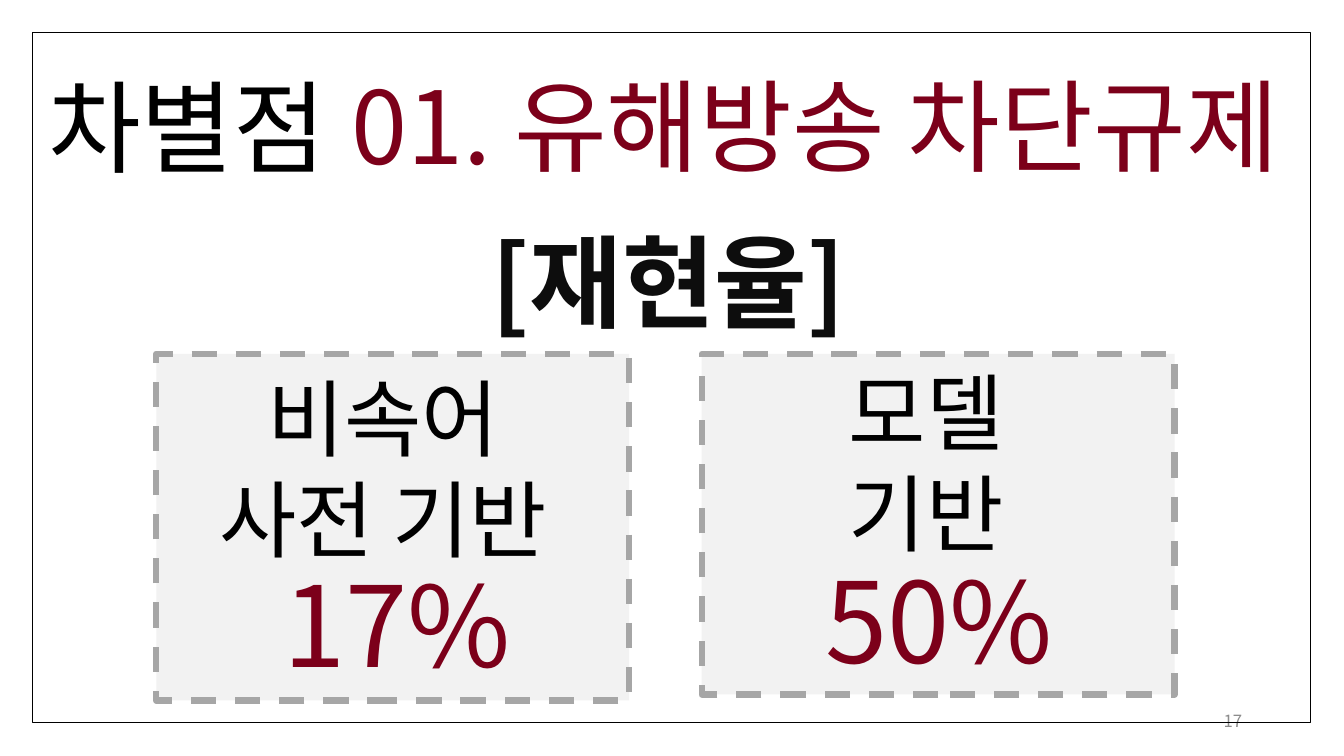
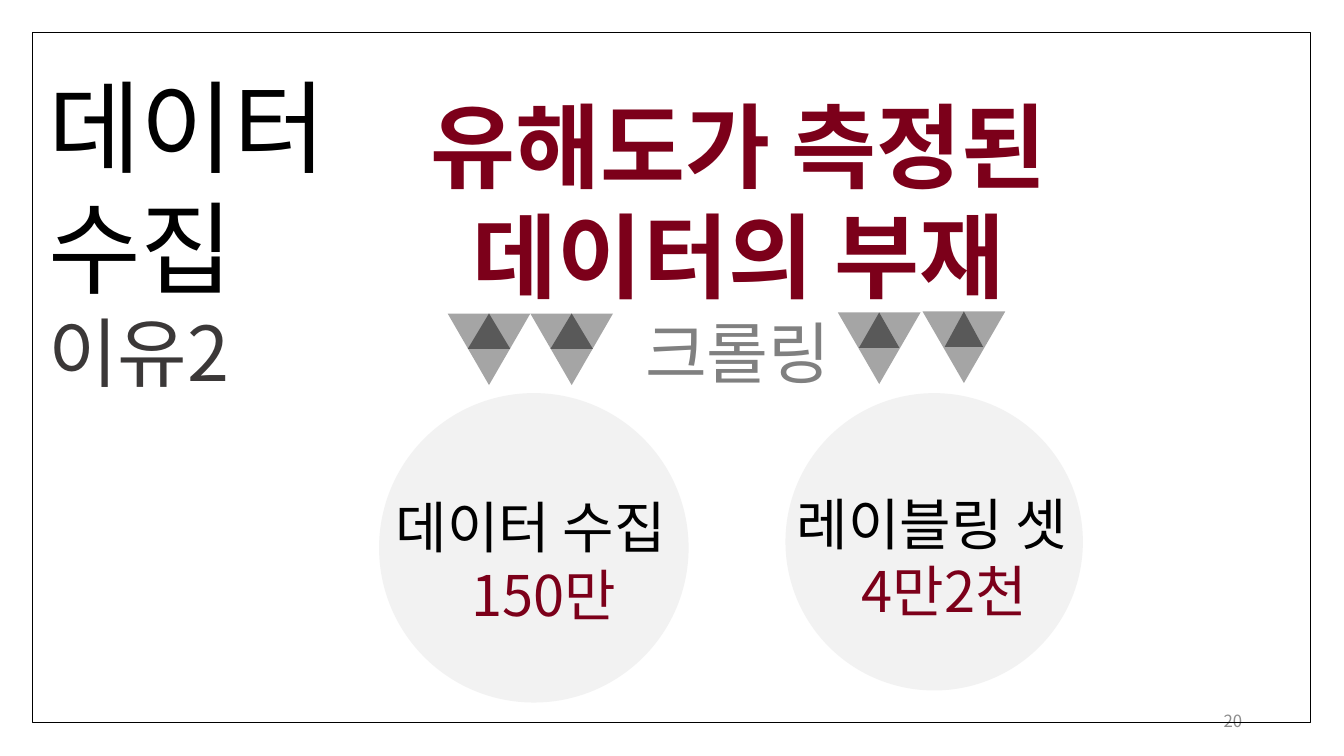
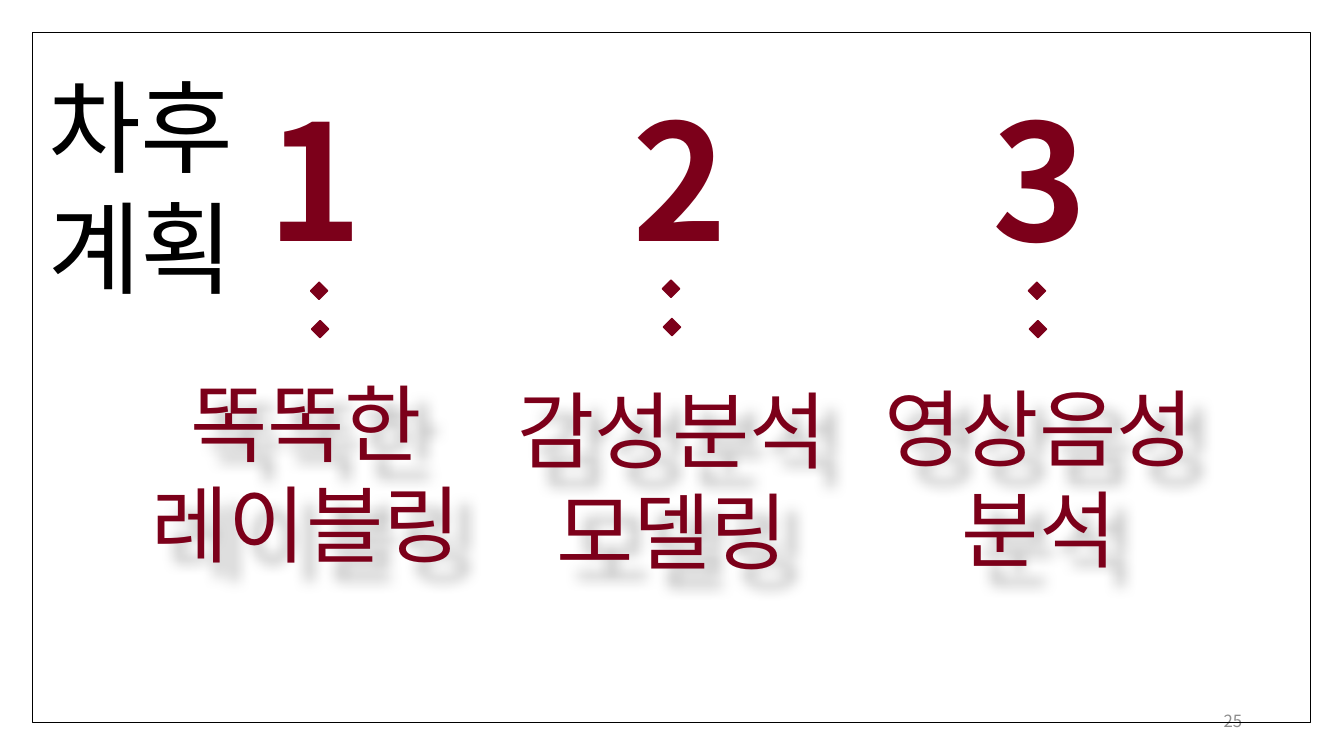
from lxml.etree import SubElement
from pptx import Presentation
from pptx.dml.color import RGBColor
from pptx.enum.dml import MSO_LINE_DASH_STYLE as Dash
from pptx.enum.shapes import MSO_AUTO_SHAPE_TYPE as Shape
from pptx.enum.text import MSO_VERTICAL_ANCHOR as Anchor, PP_PARAGRAPH_ALIGNMENT as Align
from pptx.oxml.ns import qn
from pptx.util import Emu, Pt

PX = 9144
FONT = "Noto Sans CJK KR"
COLORS = {
    "black": "000000",
    "ink": "0D0D0D",
    "wine": "7C001A",
    "panel": "F2F2F2",
    "dash": "A6A6A6",
    "outer": "A5A5A5",
    "inner": "595959",
    "caption": "808080",
    "reason": "3B3838",
    "number": "8C8C8C",
}


def px(*lengths):
    return [Emu(length * PX) for length in lengths]


def color(name):
    return RGBColor.from_string(COLORS[name])


class Deck:
    """Holds the shared style and the current slide."""

    def __init__(self):
        self.presentation = Presentation()
        self.presentation.slide_width, self.presentation.slide_height = px(1333, 750)
        self.slide = None

    def new_slide(self, number):
        self.slide = self.presentation.slides.add_slide(self.presentation.slide_layouts[6])
        self.text((942, 695, 300, 40), [(number, 12, "number")], Align.RIGHT, anchor=Anchor.MIDDLE)
        self.shape(Shape.RECTANGLE, (32, 32, 1268, 685), line="black")

    def shape(self, kind, box, fill=None, line=None, weight=1, dash=None, rotation=0):
        shape = self.slide.shapes.add_shape(kind, *px(*box))
        shape.shadow.inherit = False
        shape.rotation = rotation
        if fill:
            shape.fill.solid()
            shape.fill.fore_color.rgb = color(fill)
        else:
            shape.fill.background()
        if line:
            shape.line.color.rgb = color(line)
            shape.line.width = Pt(weight)
            shape.line.dash_style = dash
        else:
            shape.line.fill.background()

    def text(self, box, lines, align=Align.CENTER, bold=False, anchor=Anchor.TOP):
        """Each line is (text, size, color) with optional left and right margins."""
        text_box = self.slide.shapes.add_textbox(*px(*box))
        frame = text_box.text_frame
        frame.word_wrap = True
        frame.vertical_anchor = anchor
        frame.text = "\n".join(line[0] for line in lines)
        for paragraph, (_, size, name, *margins) in zip(frame.paragraphs, lines):
            paragraph.alignment = align
            paragraph.line_spacing = Pt(size * 1.2)
            for side, margin in zip(("marL", "marR"), margins):
                paragraph._p.get_or_add_pPr().set(side, str(margin * PX))
            for run in paragraph.runs:
                run.font.size = Pt(size)
                run.font.bold = bold
                run.font.color.rgb = color(name)
                run.font.name = FONT
                SubElement(run._r.get_or_add_rPr(), qn("a:ea"), typeface=FONT)
        return text_box

    def title(self, lines, width):
        self.text((38, 59, width, 131), lines, Align.LEFT)

    def shadowed_text(self, box, lines):
        text_box = self.text(box, lines, anchor=Anchor.MIDDLE)
        effects = SubElement(text_box._element.spPr, qn("a:effectLst"))
        shadow = SubElement(effects, qn("a:outerShdw"), blurRad="127000", dist="228600",
                            dir="2700000", algn="tl", rotWithShape="0")
        tint = SubElement(shadow, qn("a:srgbClr"), val=COLORS["black"])
        SubElement(tint, qn("a:alpha"), val="30000")

    def panel(self, left, height, label_box, lines, rate_box, rate):
        self.shape(Shape.RECTANGLE, (left, 351, 469, height), "panel", "dash", 4.5, Dash.DASH)
        self.text(label_box, lines)
        self.text(rate_box, [(rate, 80, "wine")], Align.LEFT)

    def circle(self, left, size, label_box, label, amount):
        self.shape(Shape.FLOWCHART_CONNECTOR, (left, 390, size, size), "panel")
        self.text(label_box, [(label, 40, "black", 12), (amount, 40, "wine", 37)])

    def arrow(self, left, top, inset):
        self.shape(Shape.ISOSCELES_TRIANGLE, (left, top, 82, 71), "outer", rotation=180)
        self.shape(Shape.ISOSCELES_TRIANGLE, (left + inset, top, 82 - 2 * inset, 35), "inner")

    def plan(self, number, number_left, dot_left, dot_top, label_left, label_top, words):
        self.text((number_left, 75, 114, 204), [(number, 115, "wine")], bold=True)
        for step in range(2):
            box = (dot_left + step, dot_top + 38 * step, 17, 17)
            self.shape(Shape.DIAMOND, box, "wine", "wine")
        self.shadowed_text((label_left, label_top, 353, 145), [(word, 60, "wine") for word in words])


def recall_slide(deck):
    deck.new_slide("17")
    deck.title([("차별점", 72, "black")], 353)
    deck.text((339, 58, 994, 131), [("01. 유해방송 차단규제", 72, "wine")], Align.LEFT)
    deck.text((66, 213, 1194, 131), [("[재현율]", 72, "ink")], bold=True)
    deck.panel(155, 344, (32, 359, 715, 212),
               [("비속어", 60, "black", 0, 19), ("사전 기반", 60, "black")],
               (271, 546, 259, 145), "17%")
    deck.panel(696, 338, (561, 353, 715, 212),
               [("모델", 60, "black"), ("기반", 60, "black")],
               (809, 542, 259, 145), "50%")


def collection_slide(deck):
    deck.new_slide("20")
    deck.title([("데이터", 72, "black"), ("수집", 72, "black"), ("이유2", 54, "reason")], 298)
    deck.text((223, 83, 1039, 232),
              [("유해도가 측정된", 66, "wine", 0, 20), ("데이터의 부재", 66, "wine")], bold=True)
    deck.circle(376, 307, (358, 484, 325, 212), "데이터 수집", "150만")
    deck.circle(779, 295, (762, 481, 312, 212), "레이블링 셋", "4만2천")
    deck.text((630, 304, 219, 91), [("크롤링", 48, "caption")], Align.LEFT)
    for left, top, inset in ((444, 311, 20), (526, 311, 20), (831, 310, 21), (915, 309, 22)):
        deck.arrow(left, top, inset)


def plan_slide(deck):
    deck.new_slide("25")
    deck.title([("차후", 72, "black"), ("계획", 72, "black")], 353)
    deck.plan("1", 255, 308, 280, 127, 396, ("똑똑한", "레이블링"))
    deck.plan("2", 617, 657, 278, 490, 403, ("감성분석", "모델링"))
    deck.plan("3", 974, 1020, 280, 854, 401, ("영상음성", "분석"))


def main():
    deck = Deck()
    for build in (recall_slide, collection_slide, plan_slide):
        build(deck)
    deck.presentation.save("out.pptx")


if __name__ == "__main__":
    main()
